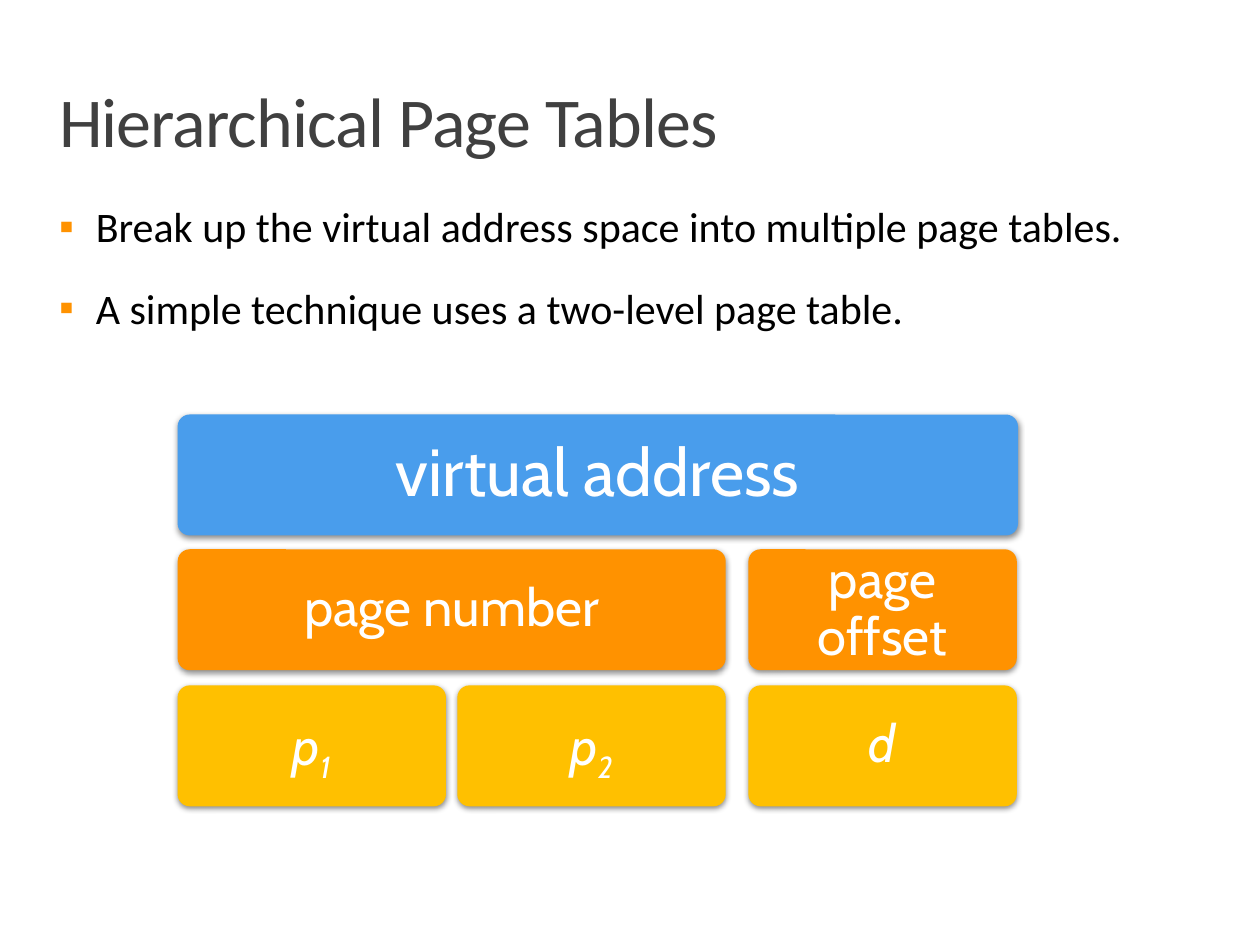
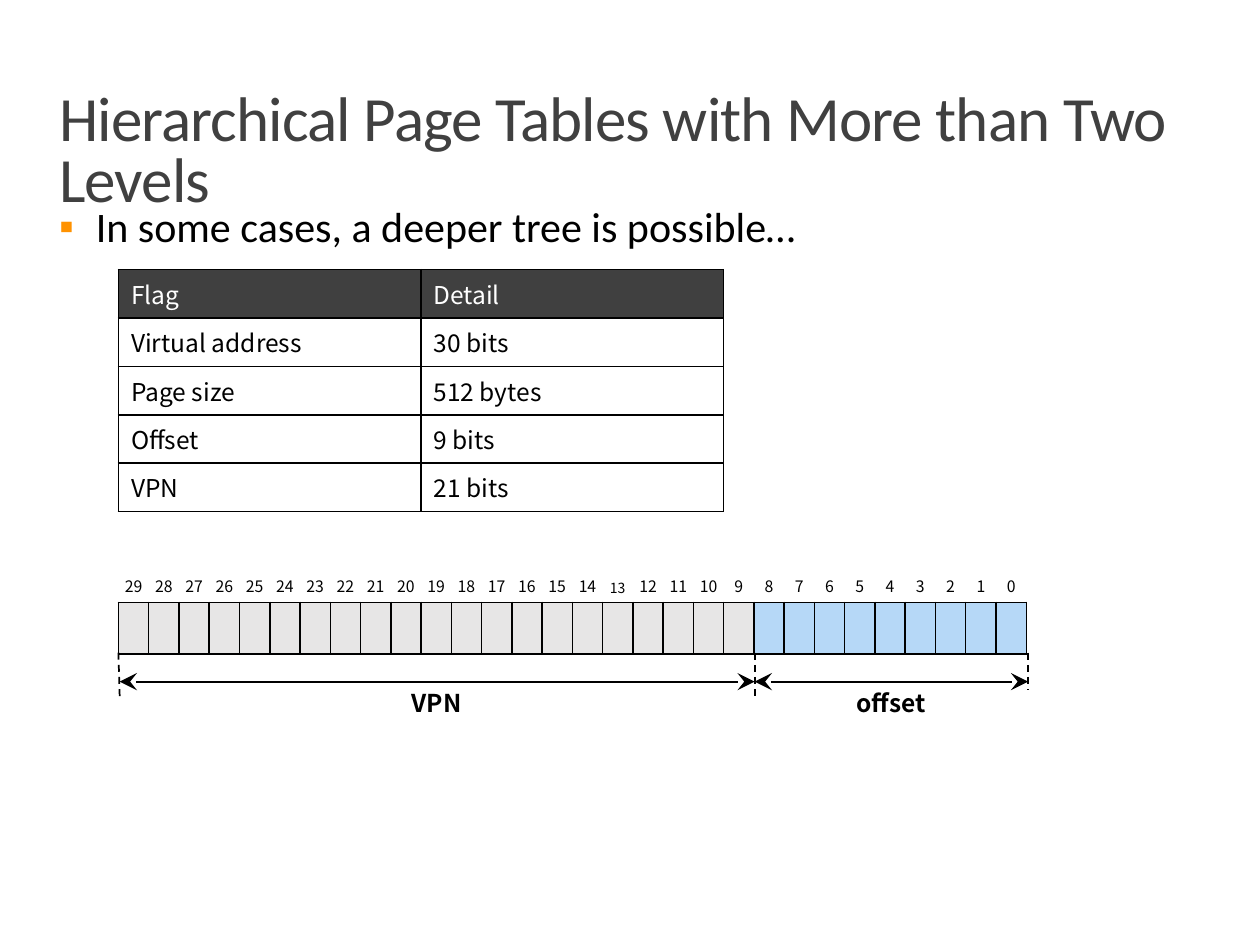
from lxml.etree import SubElement
from pptx import Presentation
from pptx.dml.color import RGBColor
from pptx.enum.dml import MSO_LINE
from pptx.enum.shapes import MSO_CONNECTOR, MSO_SHAPE
from pptx.enum.text import MSO_ANCHOR as Anchor, MSO_AUTO_SIZE as AutoSize, PP_ALIGN as Align
from pptx.oxml import parse_xml
from pptx.oxml.ns import nsdecls, qn
from pptx.util import Inches, Pt

COLORS = {
    "title": "404040", "text": "000000", "white": "FFFFFF", "bullet": "FF9200",
    "blue": "499DEC", "orange": "FF9200", "yellow": "FFC000",
    "vpn": "E7E6E6", "offset": "B6D8F7",
}
TITLE_FONT = "Calibri"
DIAGRAM_FONT = "Cabin"
TABLE_FONT = "Noto Sans CJK KR"
NO_TABLE_STYLE = "{2D5ABB26-0587-4C30-8999-92F81FD0307C}"


def add_run(paragraph, text, size, font, color):
    run = paragraph.add_run()
    run.text = text
    run.font.size = Pt(size)
    run.font.name = font
    run.font.color.rgb = RGBColor.from_string(COLORS[color])
    return run


def set_borders(cell, sides):
    properties = cell._tc.get_or_add_tcPr()
    for index, side in enumerate(sides):
        properties.insert(index, parse_xml(
            f'<a:ln{side} {nsdecls("a")} w="12700"><a:solidFill>'
            f'<a:srgbClr val="{COLORS["text"]}"/></a:solidFill></a:ln{side}>'))


presentation = Presentation()
presentation.slide_width = Inches(10)
presentation.slide_height = Inches(7.5)

# Titles and bullet lists
slide_texts = [
    ("Hierarchical Page Tables", 40,
     ["Break up the virtual address space into multiple page tables.",
      "A simple technique uses a two-level page table."]),
    ("Hierarchical Page Tables with More than Two Levels", 36,
     ["In some cases, a deeper tree is possible…"]),
]
for title_text, title_size, bullets in slide_texts:
    slide = presentation.slides.add_slide(presentation.slide_layouts[1])
    title, body = slide.placeholders
    for placeholder, top, height in ((title, 0.7, 0.89), (body, 1.59, 5.51)):
        placeholder.left, placeholder.top = Inches(0.47), Inches(top)
        placeholder.width, placeholder.height = Inches(9.06), Inches(height)
        frame = placeholder.text_frame
        frame.margin_left = frame.margin_right = frame.margin_top = frame.margin_bottom = 0
        frame.vertical_anchor = Anchor.TOP
        frame.auto_size = AutoSize.NONE
    title.text_frame.margin_top = Inches(0.04)

    paragraph = title.text_frame.paragraphs[0]
    paragraph.alignment = Align.LEFT
    paragraph.line_spacing = 0.8
    run = add_run(paragraph, title_text, title_size, TITLE_FONT, "title")
    run.font._element.set("spc", "-50")

    for index, bullet in enumerate(bullets):
        frame = body.text_frame
        paragraph = frame.add_paragraph() if index else frame.paragraphs[0]
        paragraph.space_before = Pt(18)
        properties = paragraph._p.get_or_add_pPr()
        properties.set("marL", str(Inches(0.29)))
        properties.set("indent", str(-Inches(0.29)))
        bullet_color = SubElement(properties, qn("a:buClr"))
        SubElement(bullet_color, qn("a:srgbClr"), val=COLORS["bullet"])
        SubElement(properties, qn("a:buChar"), char="▪")
        add_run(paragraph, bullet, 24, TITLE_FONT, "text")

tree_slide, bits_slide = presentation.slides

# Address breakdown: left, top, width, fill, size, text, subscript
address_boxes = [
    (1.41, 3.29, 6.67, "blue", 38, "virtual address", ""),
    (1.41, 4.36, 4.35, "orange", 30, "page number", ""),
    (5.94, 4.36, 2.13, "orange", 30, "page offset", ""),
    (1.41, 5.44, 2.13, "yellow", 30, "p", "1"),
    (3.63, 5.44, 2.13, "yellow", 30, "p", "2"),
    (5.94, 5.44, 2.13, "yellow", 30, "d", ""),
]
for left, top, width, fill, size, text, subscript in address_boxes:
    shape = tree_slide.shapes.add_shape(
        MSO_SHAPE.ROUNDED_RECTANGLE, Inches(left), Inches(top), Inches(width), Inches(0.96))
    shape.adjustments[0] = 0.1
    shape.fill.solid()
    shape.fill.fore_color.rgb = RGBColor.from_string(COLORS[fill])
    shape.line.fill.background()
    shape.shadow.inherit = False
    shape._element.spPr.find(qn("a:effectLst")).append(parse_xml(
        f'<a:outerShdw {nsdecls("a")} blurRad="{Pt(3.5)}" dist="{Pt(1.1)}" dir="5400000" '
        f'rotWithShape="0"><a:srgbClr val="{COLORS["text"]}"><a:alpha val="45000"/>'
        '</a:srgbClr></a:outerShdw>'))
    frame = shape.text_frame
    frame.word_wrap = True
    frame.vertical_anchor = Anchor.MIDDLE
    frame.margin_left = frame.margin_right = Inches(0.15)
    frame.margin_top = frame.margin_bottom = Inches(0.15)
    paragraph = frame.paragraphs[0]
    paragraph.alignment = Align.CENTER
    paragraph.line_spacing = 0.9
    italic = fill == "yellow"
    add_run(paragraph, text, size, DIAGRAM_FONT, "white").font.italic = italic
    if subscript:
        run = add_run(paragraph, subscript, size, DIAGRAM_FONT, "white")
        run.font.italic = italic
        run.font._element.set("baseline", "-25000")

# Empty grids: bit layout and flag table
tables = []
for rows, columns, left, top, width, height in (
        (2, 30, 0.94, 4.54, 7.21, 0.65), (5, 2, 0.94, 2.14, 4.8, 1.67)):
    table = bits_slide.shapes.add_table(
        rows, columns, Inches(left), Inches(top), Inches(width), Inches(height)).table
    table.first_row = table.horz_banding = False
    table._tbl.tblPr.find(qn("a:tableStyleId")).text = NO_TABLE_STYLE
    tables.append(table)
bit_table, flag_table = tables

# Bit numbers above their cells
bit_table.rows[0].height = Inches(0.24)
bit_table.rows[1].height = Inches(0.41)
for column in range(30):
    bit = 29 - column
    number, box = bit_table.cell(0, column), bit_table.cell(1, column)
    for cell in (number, box):
        cell.margin_left = cell.margin_right = cell.margin_top = cell.margin_bottom = 0
    number.margin_bottom = Inches(0.04)
    number.vertical_anchor = Anchor.BOTTOM
    number.fill.background()
    set_borders(number, "B")
    paragraph = number.text_frame.paragraphs[0]
    paragraph.alignment = Align.CENTER
    add_run(paragraph, str(bit), 8 if bit == 13 else 9, TABLE_FONT, "text")
    box.fill.solid()
    box.fill.fore_color.rgb = RGBColor.from_string(COLORS["vpn" if bit > 8 else "offset"])
    set_borders(box, "LRTB")

# Flag table
flag_rows = [
    ("Flag", "Detail"),
    ("Virtual address", "30 bits"),
    ("Page size", "512 bytes"),
    ("Offset", "9 bits"),
    ("VPN", "21 bits"),
]
for row, values in enumerate(flag_rows):
    fill, color = ("white", "text") if row else ("title", "white")
    for column, value in enumerate(values):
        cell = flag_table.cell(row, column)
        cell.fill.solid()
        cell.fill.fore_color.rgb = RGBColor.from_string(COLORS[fill])
        set_borders(cell, "LRTB")
        add_run(cell.text_frame.paragraphs[0], value, 14, TABLE_FONT, color)

# Labels of the two address parts
for label, left in (("offset", 6.61), ("VPN", 3)):
    text_box = bits_slide.shapes.add_textbox(
        Inches(left), Inches(5.41), Inches(0.93), Inches(0.34))
    text_box.text_frame.word_wrap = True
    text_box.text_frame.auto_size = AutoSize.SHAPE_TO_FIT_TEXT
    paragraph = text_box.text_frame.paragraphs[0]
    paragraph.alignment = Align.CENTER
    add_run(paragraph, label, 14, TABLE_FONT, "text").font.bold = True

# Dashed limits and double-headed spans
part_lines = [
    (0.94, 5.18, 0.95, 5.53, "limit"),
    (0.95, 5.41, 5.99, 5.41, "span"),
    (5.99, 5.18, 5.99, 5.53, "limit"),
    (8.16, 5.18, 8.16, 5.48, "limit"),
    (5.99, 5.41, 8.16, 5.41, "span"),
]
for start_x, start_y, end_x, end_y, role in part_lines:
    connector = bits_slide.shapes.add_connector(
        MSO_CONNECTOR.STRAIGHT, Inches(start_x), Inches(start_y), Inches(end_x), Inches(end_y))
    connector.line.color.rgb = RGBColor.from_string(COLORS["text"])
    connector.line.width = Pt(1)
    if role == "limit":
        connector.line.dash_style = MSO_LINE.DASH
    else:
        for end in ("headEnd", "tailEnd"):
            SubElement(connector.line._get_or_add_ln(), qn(f"a:{end}"),
                       type="stealth", w="lg", len="lg")
    SubElement(connector._element.spPr, qn("a:effectLst"))

presentation.save("out.pptx")
